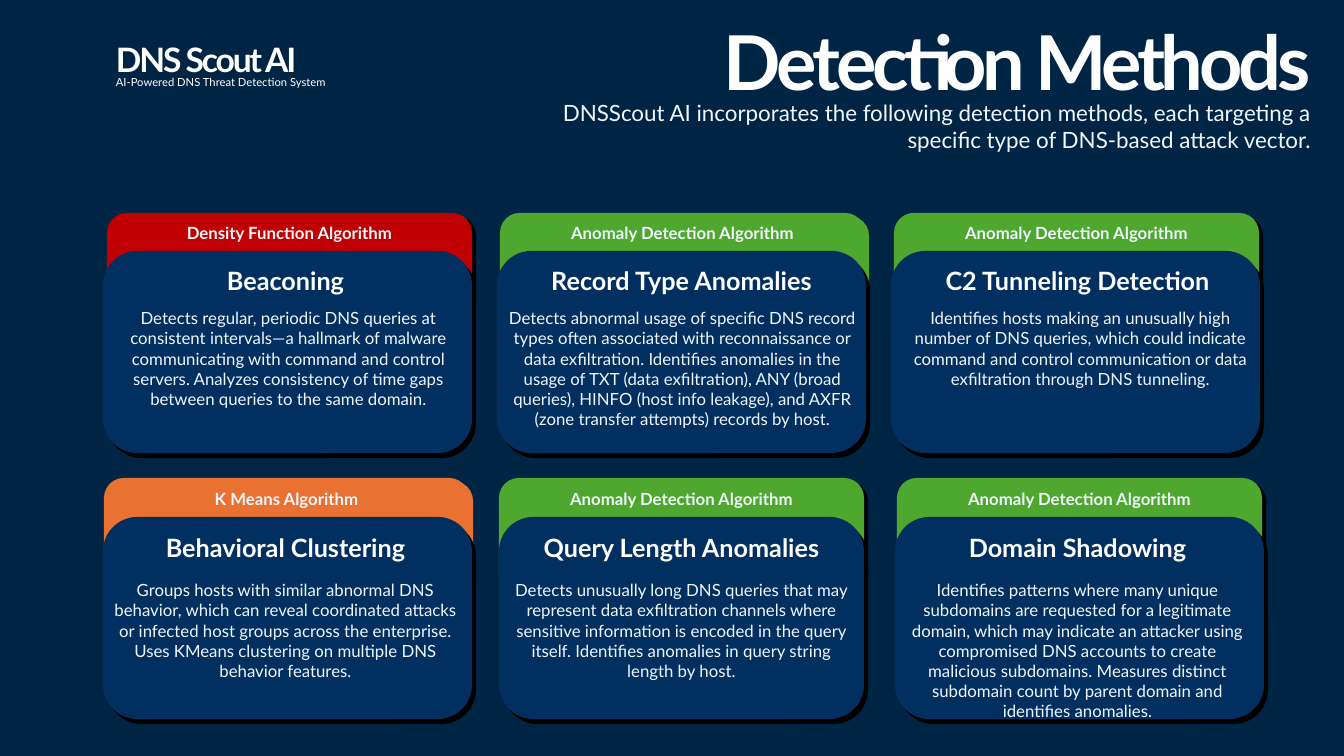
from pptx import Presentation
from pptx.dml.color import RGBColor
from pptx.enum.shapes import MSO_SHAPE
from pptx.enum.text import MSO_AUTO_SIZE, PP_ALIGN
from pptx.util import Emu, Pt

SLIDE_SIZE = (1344, 756)
EMU_PER_PX = 12192000 / 1344

COLORS = {
    "background": "002544",
    "panel": "012F5F",
    "shadow": "000000",
    "green": "4EA72E",
    "orange": "E97132",
    "red": "C00000",
    "white": "FFFFFF",
    "pale": "F0F6FC",
}

STYLES = {
    "brand": {"size": 24, "bold": True, "color": "white", "spacing": -150, "align": PP_ALIGN.LEFT},
    "tagline": {"size": 8, "bold": False, "color": "white", "spacing": 0, "align": PP_ALIGN.LEFT},
    "title": {"size": 54, "bold": True, "color": "white", "spacing": -300, "align": PP_ALIGN.LEFT},
    "subtitle": {"size": 16, "bold": False, "color": "pale", "spacing": 0, "align": PP_ALIGN.RIGHT},
    "label": {"size": 12, "bold": True, "color": "pale", "spacing": 0, "align": PP_ALIGN.CENTER},
    "heading": {"size": 18, "bold": True, "color": "white", "spacing": 0, "align": PP_ALIGN.CENTER},
    "detail": {"size": 12, "bold": False, "color": "pale", "spacing": 0, "align": PP_ALIGN.CENTER},
}

HEADER = [
    ("brand", "DNS Scout AI", (106, 34, 213, 50)),
    ("tagline", "AI-Powered DNS Threat Detection System", (106, 70, 239, 24)),
    ("title", "Detection Methods", (714, 10, 608, 102)),
    ("subtitle", "DNSScout AI incorporates the following detection methods, each targeting a "
     "specific type of DNS-based attack vector.", (533, 94, 788, 65)),
]

ROWS = [
    {"tab": 214, "label": 218, "panel": 252, "heading": 260, "detail": 303},
    {"tab": 479, "label": 484, "panel": 518, "heading": 527, "detail": 575},
]
HEADING_LEFT, COLUMN_STEP = 100, 396
TAB_SIZE = (363, 113)
PANEL_HEIGHT = 200
TAB_SHADOW = (4, 3)
PANEL_SHADOW = (4, 5)

CARDS = [
    {"algorithm": "Density Function Algorithm", "method": "Beaconing",
     "tab": 108, "panel": (104, 367), "detail": (106, 365), "fill": "red", "shadow": "shadow",
     "text": "Detects regular, periodic DNS queries at consistent intervals—a hallmark of malware "
             "communicating with command and control servers. Analyzes consistency of time gaps "
             "between queries to the same domain."},
    {"algorithm": "Anomaly Detection Algorithm", "method": "Record Type Anomalies",
     "tab": 501, "panel": (498, 367), "detail": (498, 369), "fill": "green", "shadow": "green",
     "text": "Detects abnormal usage of specific DNS record types often associated with "
             "reconnaissance or data exfiltration. Identifies anomalies in the usage of TXT (data "
             "exfiltration), ANY (broad queries), HINFO (host info leakage), and AXFR (zone "
             "transfer attempts) records by host."},
    {"algorithm": "Anomaly Detection Algorithm", "method": "C2 Tunneling Detection",
     "tab": 895, "panel": (892, 367), "detail": (898, 365), "fill": "green", "shadow": "shadow",
     "text": "Identifies hosts making an unusually high number of DNS queries, which could indicate "
             "command and control communication or data exfiltration through DNS tunneling."},
    {"algorithm": "K Means Algorithm", "method": "Behavioral Clustering",
     "tab": 105, "panel": (104, 367), "detail": (103, 365), "fill": "orange", "shadow": "orange",
     "text": "Groups hosts with similar abnormal DNS behavior, which can reveal coordinated attacks "
             "or infected host groups across the enterprise. Uses KMeans clustering on multiple DNS "
             "behavior features."},
    {"algorithm": "Anomaly Detection Algorithm", "method": "Query Length Anomalies",
     "tab": 500, "panel": (500, 363), "detail": (499, 365), "fill": "green", "shadow": "shadow",
     "text": "Detects unusually long DNS queries that may represent data exfiltration channels where "
             "sensitive information is encoded in the query itself. Identifies anomalies in query "
             "string length by host."},
    {"algorithm": "Anomaly Detection Algorithm", "method": "Domain Shadowing",
     "tab": 898, "panel": (896, 367), "detail": (895, 365), "fill": "green", "shadow": "shadow",
     "text": "Identifies patterns where many unique subdomains are requested for a legitimate domain, "
             "which may indicate an attacker using compromised DNS accounts to create malicious "
             "subdomains. Measures distinct subdomain count by parent domain and identifies anomalies."},
]


def px(value):
    return Emu(round(value * EMU_PER_PX))


def rgb(name):
    return RGBColor.from_string(COLORS[name])


def add_text(slide, style_name, text, box):
    style = STYLES[style_name]
    frame = slide.shapes.add_textbox(*map(px, box)).text_frame
    frame.word_wrap = True
    frame.auto_size = MSO_AUTO_SIZE.SHAPE_TO_FIT_TEXT
    paragraph = frame.paragraphs[0]
    paragraph.alignment = style["align"]
    run = paragraph.add_run()
    run.text = text
    font_values = {"name": "Lato", "size": Pt(style["size"]), "bold": style["bold"]}
    for attribute, value in font_values.items():
        setattr(run.font, attribute, value)
    run.font.color.rgb = rgb(style["color"])
    if style["spacing"]:
        run._r.get_or_add_rPr().set("spc", str(style["spacing"]))


def add_raised_box(slide, box, offset, fill, shadow):
    left, top, width, height = box
    for shift_x, shift_y, color in ((*offset, shadow), (0, 0, fill)):
        shape = slide.shapes.add_shape(
            MSO_SHAPE.ROUNDED_RECTANGLE,
            px(left + shift_x), px(top + shift_y), px(width), px(height))
        shape.shadow.inherit = False
        shape.fill.solid()
        shape.fill.fore_color.rgb = rgb(color)
        shape.line.color.rgb = rgb(color)
        shape.line.width = Pt(1.5)


def add_card(slide, index, card):
    row = ROWS[index // 3]
    heading_left = HEADING_LEFT + COLUMN_STEP * (index % 3)
    panel_left, panel_width = card["panel"]
    detail_left, detail_width = card["detail"]
    add_raised_box(slide, (card["tab"], row["tab"], *TAB_SIZE), TAB_SHADOW, card["fill"], card["shadow"])
    add_text(slide, "label", card["algorithm"], (card["tab"] - 1, row["label"], 365, 30))
    add_raised_box(slide, (panel_left, row["panel"], panel_width, PANEL_HEIGHT),
                   PANEL_SHADOW, "panel", "shadow")
    add_text(slide, "heading", card["method"], (heading_left, row["heading"], 371, 40))
    add_text(slide, "detail", card["text"], (detail_left, row["detail"], detail_width, 112))


def main():
    presentation = Presentation()
    presentation.slide_width, presentation.slide_height = map(px, SLIDE_SIZE)
    slide = presentation.slides.add_slide(presentation.slide_layouts[6])
    slide.background.fill.solid()
    slide.background.fill.fore_color.rgb = rgb("background")
    for style_name, text, box in HEADER:
        add_text(slide, style_name, text, box)
    for index, card in enumerate(CARDS):
        add_card(slide, index, card)
    presentation.save("out.pptx")


if __name__ == "__main__":
    main()
